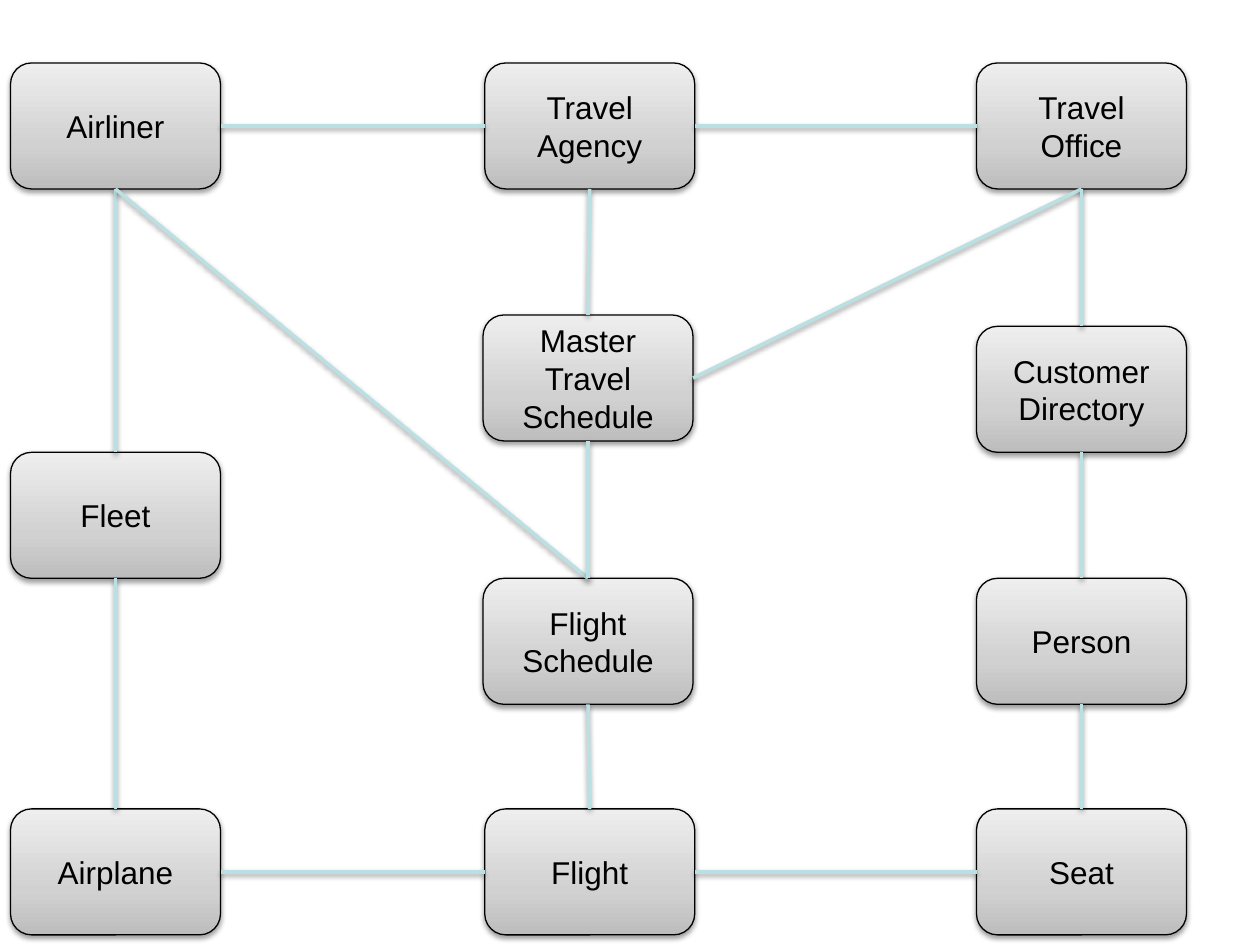
from copy import deepcopy
from dataclasses import dataclass

from pptx import Presentation
from pptx.dml.color import RGBColor
from pptx.enum.shapes import MSO_CONNECTOR, MSO_SHAPE
from pptx.enum.text import MSO_ANCHOR, PP_ALIGN
from pptx.oxml import parse_xml
from pptx.oxml.ns import nsdecls, qn
from pptx.shapes.autoshape import Shape
from pptx.shapes.base import BaseShape
from pptx.shapes.connector import Connector
from pptx.slide import Slide
from pptx.text.text import TextFrame
from pptx.util import Pt

BLACK = RGBColor(0x00, 0x00, 0x00)
AQUA = RGBColor(0xBB, 0xE0, 0xE3)
GRAYS = (
    (0, RGBColor(0xBD, 0xBD, 0xBD)),
    (0.35, RGBColor(0xD1, 0xD1, 0xD1)),
    (1, RGBColor(0xEE, 0xEE, 0xEE)),
)
WIDE, HIGH = 120, 72
LEFT, MID, RIGHT = 6, 277, 558
TOP, LOW = 36, 462.24
INNER = 276
TIER = 330.48
UNDER, SIDE, ABOVE, EAST = 2, 1, 0, 3


@dataclass(frozen=True)
class Box:
    """A named box and its top left corner in points."""

    name: str
    left: float
    top: float


@dataclass(frozen=True)
class Link:
    """A line from a side of one box to a side of another."""

    start: str
    out: int
    end: str
    into: int


BOXES = (
    Box("Airliner", LEFT, TOP),
    Box("Travel Agency", MID, TOP),
    Box("Travel Office", RIGHT, TOP),
    Box("Master Travel Schedule", INNER, 180),
    Box("Customer Directory", RIGHT, TIER - 2 * HIGH),
    Box("Fleet", LEFT, TIER - HIGH),
    Box("Flight Schedule", INNER, TIER),
    Box("Person", RIGHT, TIER),
    Box("Airplane", LEFT, LOW),
    Box("Flight", MID, LOW),
    Box("Seat", RIGHT, LOW),
)

LINKS = (
    Link("Travel Agency", SIDE, "Airliner", EAST),
    Link("Travel Office", SIDE, "Travel Agency", EAST),
    Link("Airliner", UNDER, "Fleet", ABOVE),
    Link("Fleet", UNDER, "Airplane", ABOVE),
    Link("Airliner", UNDER, "Flight Schedule", ABOVE),
    Link("Travel Agency", UNDER, "Master Travel Schedule", ABOVE),
    Link("Master Travel Schedule", UNDER, "Flight Schedule", ABOVE),
    Link("Flight Schedule", UNDER, "Flight", ABOVE),
    Link("Travel Office", UNDER, "Master Travel Schedule", EAST),
    Link("Travel Office", UNDER, "Customer Directory", ABOVE),
    Link("Customer Directory", UNDER, "Person", ABOVE),
    Link("Person", UNDER, "Seat", ABOVE),
    Link("Airplane", EAST, "Flight", SIDE),
    Link("Seat", SIDE, "Flight", EAST),
)


def shade(item: BaseShape) -> None:
    """Give a shape or line a soft shadow straight below it."""
    item._element.spPr.append(parse_xml(
        f'<a:effectLst {nsdecls("a")}>'
        f'<a:outerShdw blurRad="{Pt(3.1)}" dist="{Pt(1.6)}" dir="5400000" rotWithShape="0">'
        f'<a:srgbClr val="{BLACK}"><a:alpha val="38000"/></a:srgbClr>'
        "</a:outerShdw></a:effectLst>"
    ))


def blend(shape: Shape) -> None:
    """Fill a shape with grays that lighten towards the top."""
    fill = shape.fill
    fill.gradient()
    fill.gradient_angle = 90
    stops = shape._element.spPr.find(qn("a:gradFill")).find(qn("a:gsLst"))
    stops.append(deepcopy(stops[-1]))
    for stop, (place, color) in zip(fill.gradient_stops, GRAYS):
        stop.position = place
        stop.color.rgb = color


def write(frame: TextFrame, text: str, *, size: float = 18, font: str = "Arial",
          color: RGBColor = BLACK, align: PP_ALIGN = PP_ALIGN.CENTER) -> None:
    """Put one formatted paragraph in the middle of a text frame."""
    frame.word_wrap = True
    frame.vertical_anchor = MSO_ANCHOR.MIDDLE
    para = frame.paragraphs[0]
    para.alignment = align
    run = para.add_run()
    run.text = text
    run.font.name = font
    run.font.size = Pt(size)
    run.font.color.rgb = color


def draw_box(slide: Slide, box: Box) -> Shape:
    """Draw a rounded box with its name."""
    shape = slide.shapes.add_shape(
        MSO_SHAPE.ROUNDED_RECTANGLE, Pt(box.left), Pt(box.top), Pt(WIDE), Pt(HIGH))
    blend(shape)
    shape.line.color.rgb = BLACK
    shape.line.width = Pt(0.75)
    shade(shape)
    write(shape.text_frame, box.name)
    return shape


def draw_link(slide: Slide, link: Link, nodes: dict[str, Shape]) -> Connector:
    """Join two boxes with a straight line."""
    line = slide.shapes.add_connector(MSO_CONNECTOR.STRAIGHT, Pt(0), Pt(0), Pt(0), Pt(0))
    line.begin_connect(nodes[link.start], link.out)
    line.end_connect(nodes[link.end], link.into)
    line.line.color.rgb = AQUA
    line.line.width = Pt(2)
    shade(line)
    return line


def main() -> None:
    """Build the slide and save it."""
    deck = Presentation()
    deck.slide_width, deck.slide_height = Pt(720), Pt(540)
    slide = deck.slides.add_slide(deck.slide_layouts[6])
    nodes = {box.name: draw_box(slide, box) for box in BOXES}
    for link in LINKS:
        draw_link(slide, link, nodes)
    deck.save("out.pptx")


if __name__ == "__main__":
    main()
